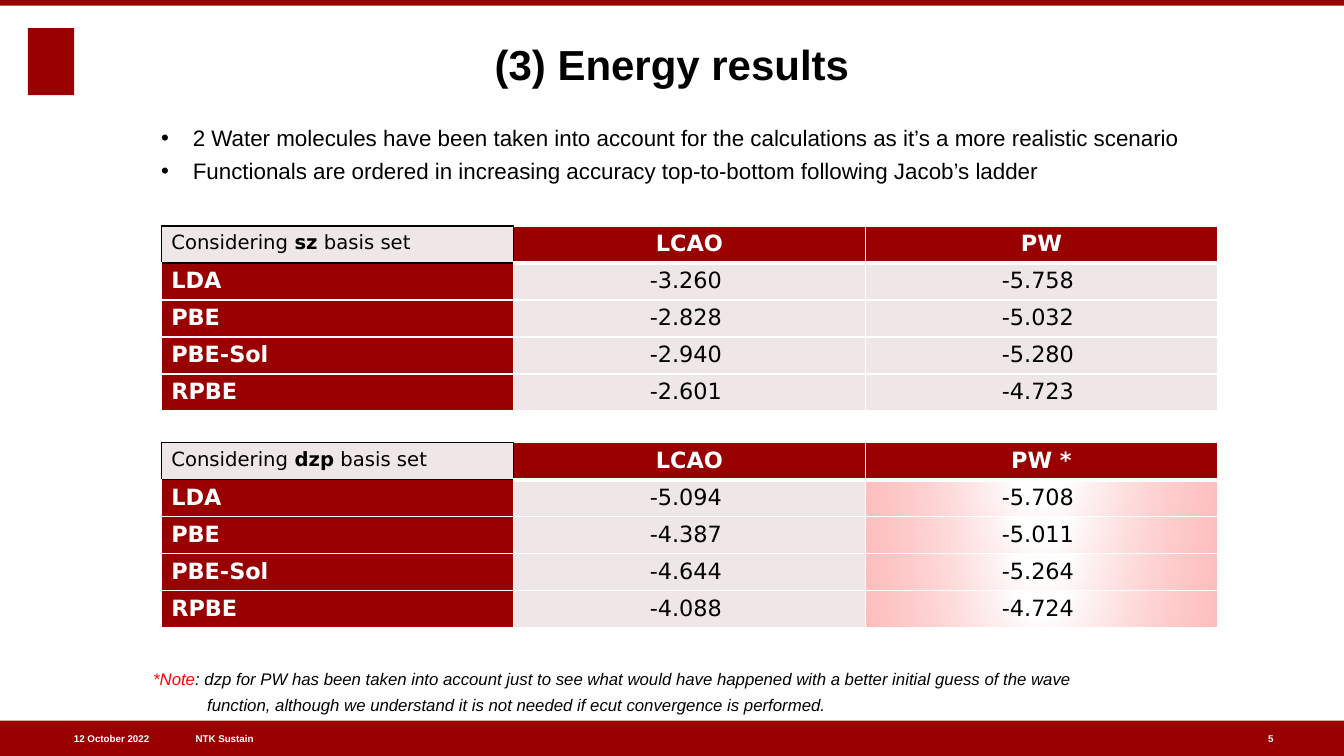
from dataclasses import dataclass
from typing import Optional

from lxml import etree
from pptx import Presentation
from pptx.dml.color import RGBColor
from pptx.enum.shapes import MSO_SHAPE as Preset
from pptx.enum.text import MSO_ANCHOR as Anchor, PP_ALIGN as Align
from pptx.oxml.ns import qn
from pptx.util import Pt


@dataclass(frozen=True)
class Theme:
    red: str = "990000"
    tint: str = "EFE7E7"
    glow: str = "FF2929"
    note: str = "FF0000"
    white: str = "FFFFFF"
    black: str = "000000"
    sans: str = "Arial"
    table_font: str = "DejaVu Sans"
    title_size: float = 30
    body_size: float = 16
    corner_size: float = 14
    note_size: float = 12
    footer_size: float = 7


THEME = Theme()


@dataclass(frozen=True)
class Box:
    left: float
    top: float
    width: float
    height: float

    def emu(self) -> tuple:
        return Pt(self.left), Pt(self.top), Pt(self.width), Pt(self.height)


@dataclass(frozen=True)
class Span:
    text: str
    size: float
    color: str = THEME.black
    bold: bool = False
    italic: bool = False
    font: str = THEME.sans


@dataclass(frozen=True)
class Line:
    spans: list
    align: Align = Align.LEFT
    before: float = 0
    margin: float = 0
    bullet: Optional[str] = None


@dataclass(frozen=True)
class EnergyTable:
    top: float
    basis_set: str
    methods: tuple
    energies: dict
    glowing_column: Optional[int] = None


def write_line(paragraph, line: Line) -> None:
    paragraph.alignment = line.align
    paragraph.space_before = Pt(line.before)
    props = paragraph._p.get_or_add_pPr()
    if line.margin:
        props.set("marL", str(Pt(line.margin)))
    if line.bullet:
        props.set("indent", str(-Pt(line.margin)))
        etree.SubElement(props, qn("a:buFont"), typeface=THEME.sans)
        etree.SubElement(props, qn("a:buChar"), char=line.bullet)
    for span in line.spans:
        run = paragraph.add_run()
        run.text = span.text
        formats = {"name": span.font, "size": Pt(span.size),
                   "bold": span.bold, "italic": span.italic}
        for name, value in formats.items():
            setattr(run.font, name, value)
        run.font.color.rgb = RGBColor.from_string(span.color)


def add_text(slide, box: Box, lines: list, anchor: Anchor = Anchor.TOP) -> None:
    frame = slide.shapes.add_textbox(*box.emu()).text_frame
    formats = {"word_wrap": True, "vertical_anchor": anchor, "margin_left": 0,
               "margin_top": 0, "margin_right": 0, "margin_bottom": 0}
    for name, value in formats.items():
        setattr(frame, name, value)
    for index, line in enumerate(lines):
        write_line(frame.add_paragraph() if index else frame.paragraphs[0], line)


def add_block(slide, box: Box) -> None:
    block = slide.shapes.add_shape(Preset.RECTANGLE, *box.emu())
    block.shadow.inherit = False
    block.fill.solid()
    block.fill.fore_color.rgb = RGBColor.from_string(THEME.red)
    block.line.fill.background()


def set_borders(cell, row: int, column: int) -> None:
    """Frame the corner cell in black, the rest in white with a heavy header rule."""
    corner = row == column == 0
    black_sides = {"L": corner or (row, column) == (0, 1), "R": corner,
                   "T": corner or (row, column) == (1, 0), "B": corner}
    props = cell._tc.get_or_add_tcPr()
    for index, (side, black) in enumerate(black_sides.items()):
        heavy = side == "B" and row == 0 and not corner
        border = etree.Element(qn(f"a:ln{side}"), w=str(Pt(3 if heavy else 1)))
        fill = etree.SubElement(border, qn("a:solidFill"))
        etree.SubElement(fill, qn("a:srgbClr"), val=THEME.black if black else THEME.white)
        props.insert(index, border)


def fill_glow(cell) -> None:
    """Fade from white in the middle of the column to pale red at its sides."""
    gradient = etree.SubElement(cell._tc.get_or_add_tcPr(), qn("a:gradFill"))
    stops = etree.SubElement(gradient, qn("a:gsLst"))
    for percent, color, alpha in ((0, THEME.white, 100), (15, THEME.white, 43),
                                  (100, THEME.glow, 30)):
        stop = etree.SubElement(stops, qn("a:gs"), pos=str(percent * 1000))
        tone = etree.SubElement(stop, qn("a:srgbClr"), val=color)
        etree.SubElement(tone, qn("a:alpha"), val=str(alpha * 1000))
    shade = etree.SubElement(gradient, qn("a:path"), path="circle")
    etree.SubElement(shade, qn("a:fillToRect"), l="50000", t="-80000", r="50000", b="180000")


def add_energy_table(slide, energy: EnergyTable) -> None:
    row_height, column_width = 25.92, 251.5
    rows = [("", *energy.methods)]
    rows += [(functional, *values) for functional, values in energy.energies.items()]
    box = Box(115.2, energy.top, column_width * len(rows[0]), row_height * len(rows))
    table = slide.shapes.add_table(len(rows), len(rows[0]), *box.emu()).table
    table.first_row = table.horz_banding = False
    for row, labels in enumerate(rows):
        table.rows[row].height = Pt(row_height)
        for column, label in enumerate(labels):
            cell = table.cell(row, column)
            corner = row == column == 0
            heading = not corner and 0 in (row, column)
            value = row > 0 and column > 0
            formats = {"margin_left": Pt(7.2), "margin_right": Pt(12.3 if value else 7.2),
                       "margin_top": Pt(3.6), "margin_bottom": Pt(3.6)}
            for name, setting in formats.items():
                setattr(cell, name, setting)
            set_borders(cell, row, column)
            if value and column == energy.glowing_column:
                fill_glow(cell)
            else:
                cell.fill.solid()
                cell.fill.fore_color.rgb = RGBColor.from_string(
                    THEME.red if heading else THEME.tint)
            if corner:
                parts = (("Considering ", False), (energy.basis_set, True),
                         (" basis set", False))
                spans = [Span(text, THEME.corner_size, bold=bold, font=THEME.table_font)
                         for text, bold in parts]
            else:
                spans = [Span(label, THEME.body_size, THEME.white if heading else THEME.black,
                              heading, font=THEME.table_font)]
            write_line(cell.text_frame.paragraphs[0],
                       Line(spans, Align.CENTER if column else Align.LEFT))


ENERGY_TABLES = (
    EnergyTable(161.4, "sz", ("LCAO", "PW"), {
        "LDA": ("-3.260", "-5.758"),
        "PBE": ("-2.828", "-5.032"),
        "PBE-Sol": ("-2.940", "-5.280"),
        "RPBE": ("-2.601", "-4.723")}),
    EnergyTable(316.2, "dzp", ("LCAO", "PW *"), {
        "LDA": ("-5.094", "-5.708"),
        "PBE": ("-4.387", "-5.011"),
        "PBE-Sol": ("-4.644", "-5.264"),
        "RPBE": ("-4.088", "-4.724")}, glowing_column=2),
)
FINDINGS = (
    "2 Water molecules have been taken into account for the calculations "
    "as it’s a more realistic scenario",
    "Functionals are ordered in increasing accuracy top-to-bottom following Jacob’s ladder",
)
FOOTER = (
    ("NTK Sustain", 139.7, 267.8, Align.LEFT),
    ("12 October 2022", 19.4, 87.2, Align.RIGHT),
    ("5", 905.8, 33.8, Align.LEFT),
)


def main() -> None:
    deck = Presentation()
    deck.slide_width, deck.slide_height = Pt(960), Pt(540)
    slide = deck.slides.add_slide(deck.slide_layouts[6])

    emblem, footer_bar, top_bar = (Box(20, 20, 33, 48), Box(0, 514.8, 960, 25.2),
                                   Box(0, 0, 960, 4))
    for block in (emblem, footer_bar, top_bar):
        add_block(slide, block)
    for text, left, width, align in FOOTER:
        label = Span(text, THEME.footer_size, THEME.white, bold=True)
        add_text(slide, Box(left, footer_bar.top, width, footer_bar.height),
                 [Line([label], align)], Anchor.MIDDLE)

    title = Span("(3) Energy results", THEME.title_size, bold=True)
    add_text(slide, Box(0, 4, 960, 59.4), [Line([title], Align.CENTER)], Anchor.BOTTOM)
    for energy in ENERGY_TABLES:
        add_energy_table(slide, energy)
    add_text(slide, Box(115.2, 88.6, 836, 66),
             [Line([Span(finding, THEME.body_size)], before=4.8, margin=22.6, bullet="•")
              for finding in FINDINGS])

    note_mark = Span("*Note", THEME.note_size, THEME.note, italic=True)
    note_start = Span(": dzp for PW has been taken into account just to see what would have "
                      "happened with a better initial guess of the wave",
                      THEME.note_size, italic=True)
    note_end = Span("function, although we understand it is not needed if ecut convergence "
                    "is performed.", THEME.note_size, italic=True)
    add_text(slide, Box(109.4, 477.4, 846, 33),
             [Line([note_mark, note_start], before=4.8),
              Line([note_end], before=4.8, margin=38.6)])
    deck.save("out.pptx")


if __name__ == "__main__":
    main()
